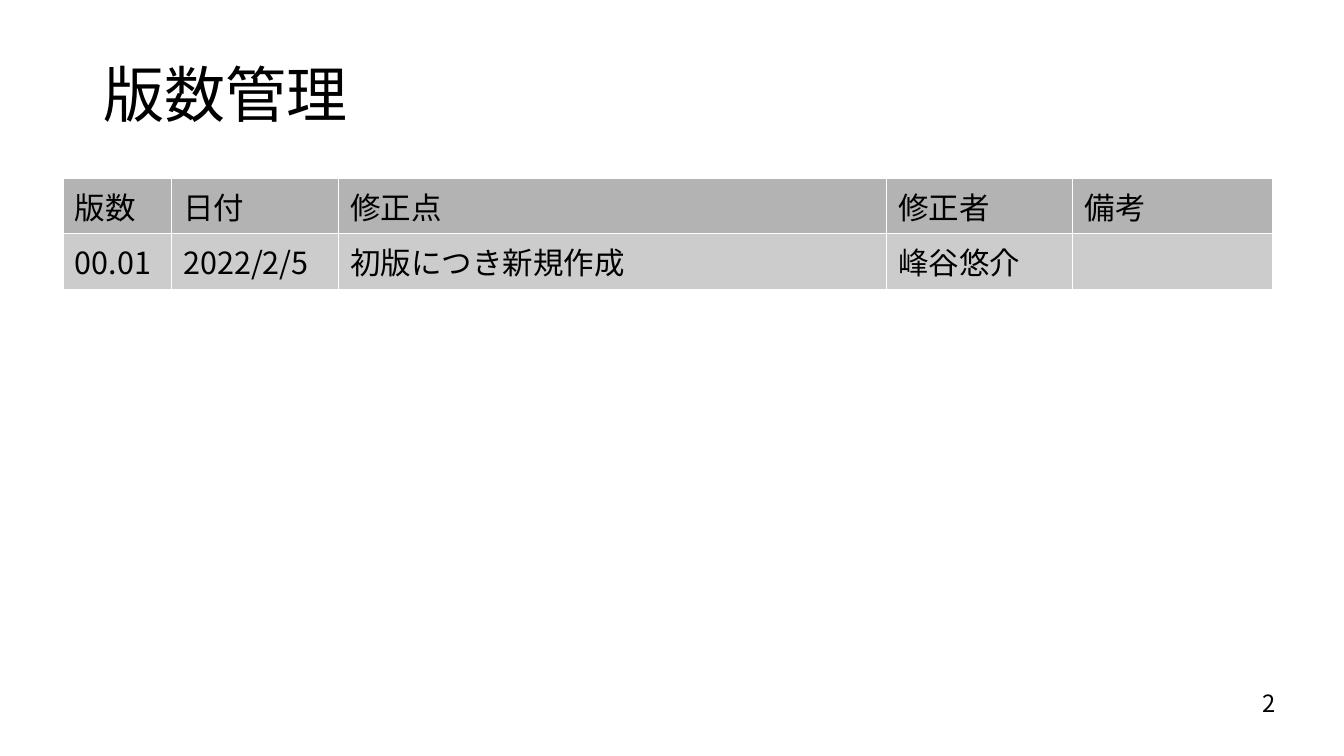
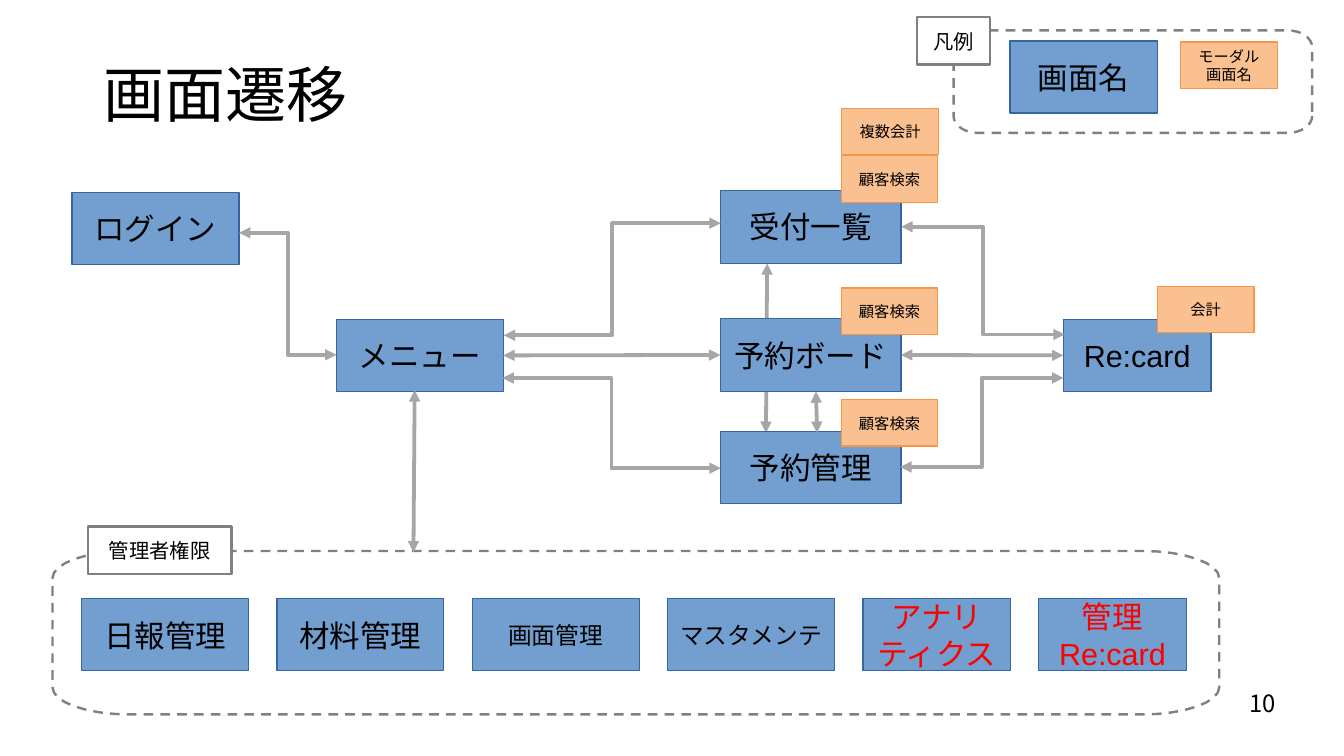
import math

import pptx
import pptx.dml.color
import pptx.enum.dml
import pptx.enum.lang
import pptx.enum.shapes
import pptx.enum.text
import pptx.oxml
import pptx.oxml.ns
import pptx.util

Pt = pptx.util.Pt
ALIGN = pptx.enum.text.PP_ALIGN
MID = pptx.enum.text.MSO_ANCHOR.MIDDLE
TOP = pptx.enum.text.MSO_ANCHOR.TOP
LINK = pptx.enum.shapes.MSO_CONNECTOR
NOTO = "Noto Sans CJK JP"
BLACK, RED, WHITE, GREY, ARROW = "000000", "FF0000", "FFFFFF", "808080", "A6A6A6"
KINDS = {
    "screen": {"fill": "729FCF", "line": "3465A4", "width": 0, "size": 18},
    "modal": {"fill": "FAC090", "line": "F79646", "width": 0, "size": 9},
    "label": {"fill": WHITE, "line": GREY, "width": 1.42, "size": 12},
}
TALL, WIDE, MAIN, SLIM = 42.5, 98.6, 106.6, 87.1
PAD = {"margin_left": Pt(7.2), "margin_right": Pt(7.2),
       "margin_top": Pt(3.6), "margin_bottom": Pt(3.6)}
BARE = dict.fromkeys(PAD, 0)


def put(item, vals):
    """Set each named attribute on an object."""
    for name, val in vals.items():
        setattr(item, name, val)


def tint(form, code):
    """Give a fill or font colour from a hex string."""
    form.rgb = pptx.dml.color.RGBColor.from_string(code)


def paint(fill, code):
    """Make a fill solid in one colour."""
    fill.solid()
    tint(fill.fore_color, code)


def node(host, tag, **attrs):
    """Append a drawing element to a host element."""
    item = pptx.oxml.parse_xml(f"<a:{tag} {pptx.oxml.ns.nsdecls('a')}/>")
    for name, val in attrs.items():
        item.set(name, val)
    host.append(item)
    return item


def write(frame, text, size, code=BLACK, face=NOTO, align=ALIGN.LEFT):
    """Write one styled paragraph in a text frame."""
    para = frame.paragraphs[0]
    para.alignment = align
    run = para.add_run()
    run.text = text
    tint(run.font.color, code)
    put(run.font, {"size": Pt(size), "name": face,
                   "language_id": pptx.enum.lang.MSO_LANGUAGE_ID.JAPANESE})
    node(run._r.get_or_add_rPr(), "ea", typeface=NOTO)


def note(slide, area, text, size, align, anchor):
    """Add a text box without margins."""
    frame = slide.shapes.add_textbox(*map(Pt, area)).text_frame
    put(frame, {"word_wrap": True, "vertical_anchor": anchor, **BARE})
    write(frame, text, size, align=align)


def start(deck, title, page):
    """Add a blank slide with its title and page number."""
    slide = deck.slides.add_slide(deck.slide_layouts[6])
    note(slide, (39.6, 18, 187.2, 74), title, 36, ALIGN.CENTER, MID)
    note(slide, (568.8, 406.8, 184.3, 30), page, 14, ALIGN.RIGHT, TOP)
    return slide


def box(slide, kind, text, area, size=None, code=BLACK, face="Arial"):
    """Add a rectangle of a given kind with centred text."""
    look = KINDS[kind]
    shape = slide.shapes.add_shape(
        pptx.enum.shapes.MSO_SHAPE.RECTANGLE, *map(Pt, area))
    shape.shadow.inherit = False
    paint(shape.fill, look["fill"])
    paint(shape.line.fill, look["line"])
    shape.line.width = Pt(look["width"])
    put(shape.text_frame, {"word_wrap": True, "vertical_anchor": MID, **PAD})
    write(shape.text_frame, text, size or look["size"], code, face, ALIGN.CENTER)
    return shape


def zone(slide, left, top, wide, high, rx, ry):
    """Draw a dashed outline with elliptic corners."""
    dots = []
    for turn in range(4):
        cx = left + (rx if turn in (1, 2) else wide - rx)
        cy = top + (ry if turn in (2, 3) else high - ry)
        for step in range(9):
            ang = (turn + step / 8) * math.pi / 2
            dots.append((Pt(cx + rx * math.cos(ang)), Pt(cy + ry * math.sin(ang))))
    pen = slide.shapes.build_freeform(*dots[0])
    pen.add_line_segments(dots[1:], close=True)
    shape = pen.convert_to_shape()
    shape.shadow.inherit = False
    shape.fill.background()
    paint(shape.line.fill, GREY)
    put(shape.line, {"width": Pt(1.42),
                     "dash_style": pptx.enum.dml.MSO_LINE.DASH})


def link(slide, ends, kind=LINK.STRAIGHT, pair=None):
    """Draw a two-headed arrow, joined right to left for a pair."""
    wire = slide.shapes.add_connector(kind, *map(Pt, ends))
    if pair:
        wire.begin_connect(pair[0], 3)
        wire.end_connect(pair[1], 1)
    paint(wire.line.fill, ARROW)
    wire.line.width = Pt(2.25)
    edge = wire.line._get_or_add_ln()
    for tag in ("headEnd", "tailEnd"):
        node(edge, tag, type="triangle")
    node(wire._element.spPr, "effectLst")


def edges(cell):
    """Give a cell thin white borders."""
    props = cell._tc.get_or_add_tcPr()
    for side in "LRTB":
        line = node(props, f"ln{side}", w="762")
        node(node(line, "solidFill"), "srgbClr", val=WHITE)


def grid(slide, rows, cols, fills, left, top, high):
    """Add a table with one fill per row."""
    frame = slide.shapes.add_table(
        len(rows), len(cols), Pt(left), Pt(top), Pt(sum(cols)), Pt(high * len(rows)))
    table = frame.table
    put(table, {"first_row": False, "horz_banding": False})
    for col, wide in zip(table.columns, cols):
        col.width = Pt(wide)
    for row, texts, fill in zip(table.rows, rows, fills):
        row.height = Pt(high)
        for cell, text in zip(row.cells, texts):
            put(cell, PAD)
            edges(cell)
            paint(cell.fill, fill)
            if text:
                write(cell.text_frame, text, 18)


def log(deck):
    """Build the version table slide."""
    slide = start(deck, "版数管理", "2")
    rows = [("版数", "日付", "修正点", "修正者", "備考"),
            ("00.01", "2022/2/5", "初版につき新規作成", "峰谷悠介", "")]
    grid(slide, rows, (64.1, 98.6, 323.3, 110.2, 118.1),
         ("B3B3B3", "CCCCCC"), 37, 105, 32.8)


def flow(deck):
    """Build the screen flow slide."""
    slide = start(deck, "画面遷移", "10")
    zone(slide, 563, 18, 211.7, 60.5, 14.4, 10)
    zone(slide, 31, 325.4, 688.8, 96.5, 45, 16)
    link(slide, (452.9, 155.5, 452.2, 255.6))

    box(slide, "screen", "ログイン", (42.5, 113.8, WIDE, TALL), face=NOTO)
    menu = box(slide, "screen", "メニュー", (198.5, 188.6, WIDE, TALL), face=NOTO)
    desk = None
    for text, top, high in (("受付一覧", 112.3, 43.2), ("予約管理", 254.9, TALL),
                            ("予約ボード", 188, 43.2)):
        desk = box(slide, "screen", text, (425.3, top, MAIN, high))
    card = box(slide, "screen", "Re:card", (627.8, 188.6, SLIM, TALL))

    left = 48.2
    for text, wide, size, code in (
            ("日報管理", WIDE, 18, BLACK), ("材料管理", WIDE, 18, BLACK),
            ("画面管理", WIDE, 14, BLACK), ("マスタメンテ", WIDE, 14, BLACK),
            ("アナリティクス", SLIM, 18, RED), ("管理Re:card", SLIM, 18, RED)):
        box(slide, "screen", text, (left, 353.6, wide, TALL), size, code)
        left += wide + 16.7

    link(slide, (297, 210, 425, 210), pair=(menu, desk))
    link(slide, (532, 210, 628, 210), pair=(desk, card))
    for ends in ((244.8, 230.4, 244.1, 326.2), (481.7, 231.1, 482.4, 255.6)):
        link(slide, ends)
    for ends in ((141.1, 137.5, 198.7, 209.5), (532.1, 133.9, 628.6, 197.5),
                 (531.4, 275.8, 627.8, 223.2), (296.6, 223.2, 425.5, 276.5),
                 (297.4, 198, 425.5, 131.8)):
        link(slide, ends, LINK.ELBOW)

    box(slide, "screen", "画面名", (596.2, 24.2, SLIM, TALL))
    for text, left, top in (
            ("モーダル画面名", 697, 24.8), ("顧客検索", 496.6, 170),
            ("顧客検索", 496.6, 236), ("顧客検索", 496.6, 92),
            ("複数会計", 497, 64), ("会計", 683.3, 169)):
        box(slide, "modal", text, (left, top, 57, 27.4))
    for text, area in (("管理者権限", (51.8, 311, 85, 28.1)),
                       ("凡例", (541.4, 10.1, 43.2, 28.1))):
        box(slide, "label", text, area)


def main():
    """Build and save both slides."""
    deck = pptx.Presentation()
    put(deck, {"slide_width": Pt(793.44), "slide_height": Pt(446.4)})
    log(deck)
    flow(deck)
    deck.save("out.pptx")


if __name__ == "__main__":
    main()
